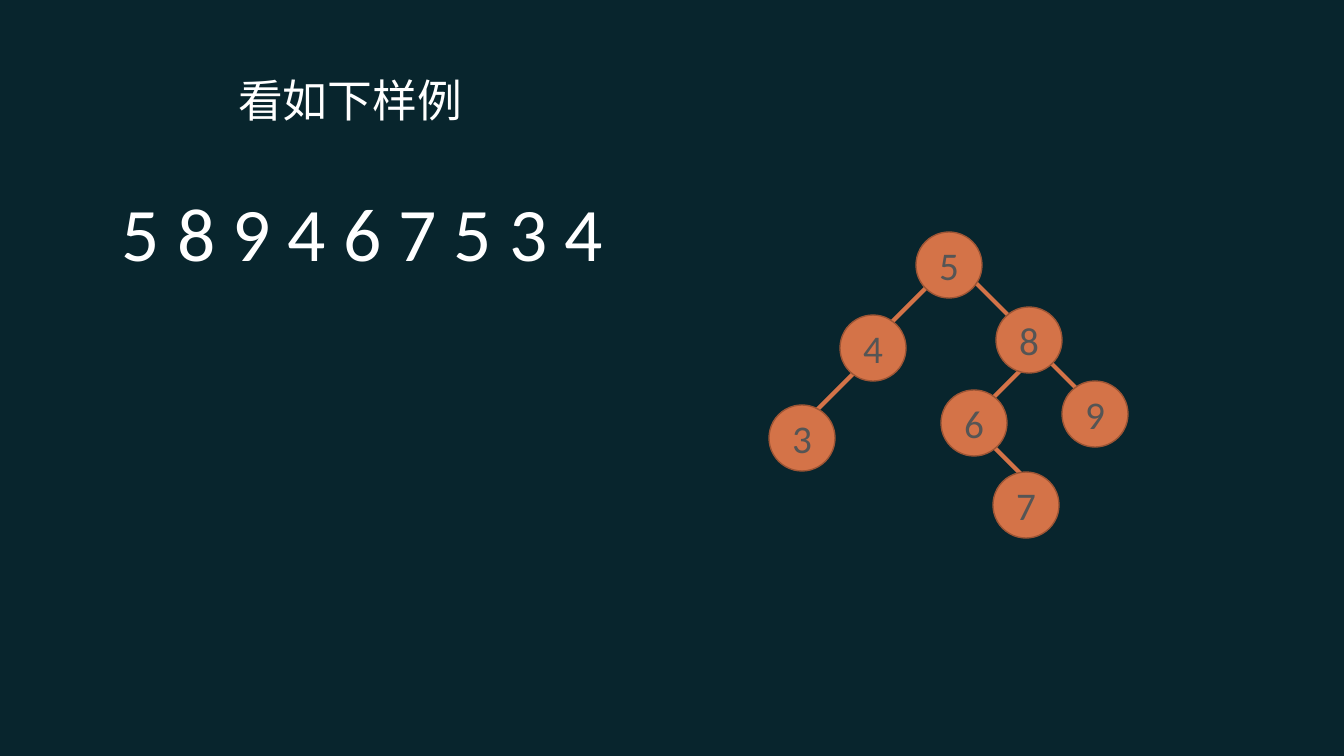
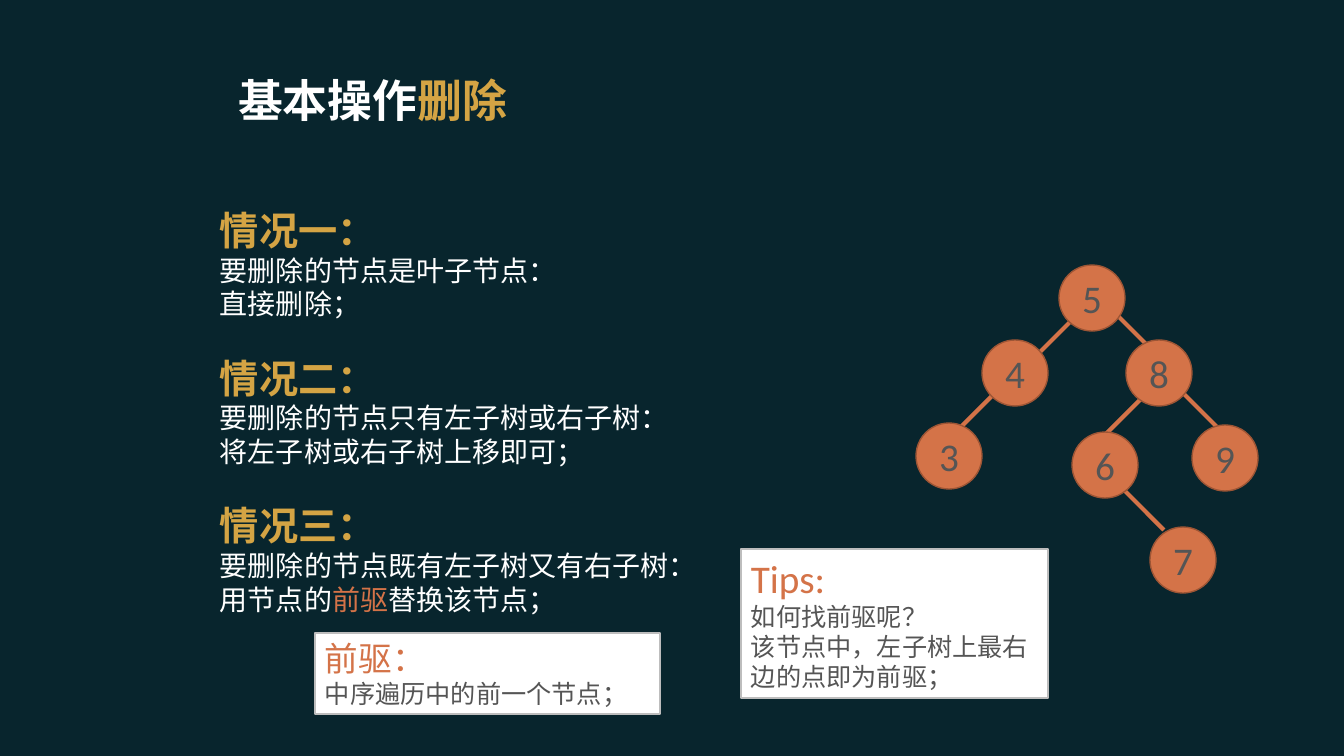
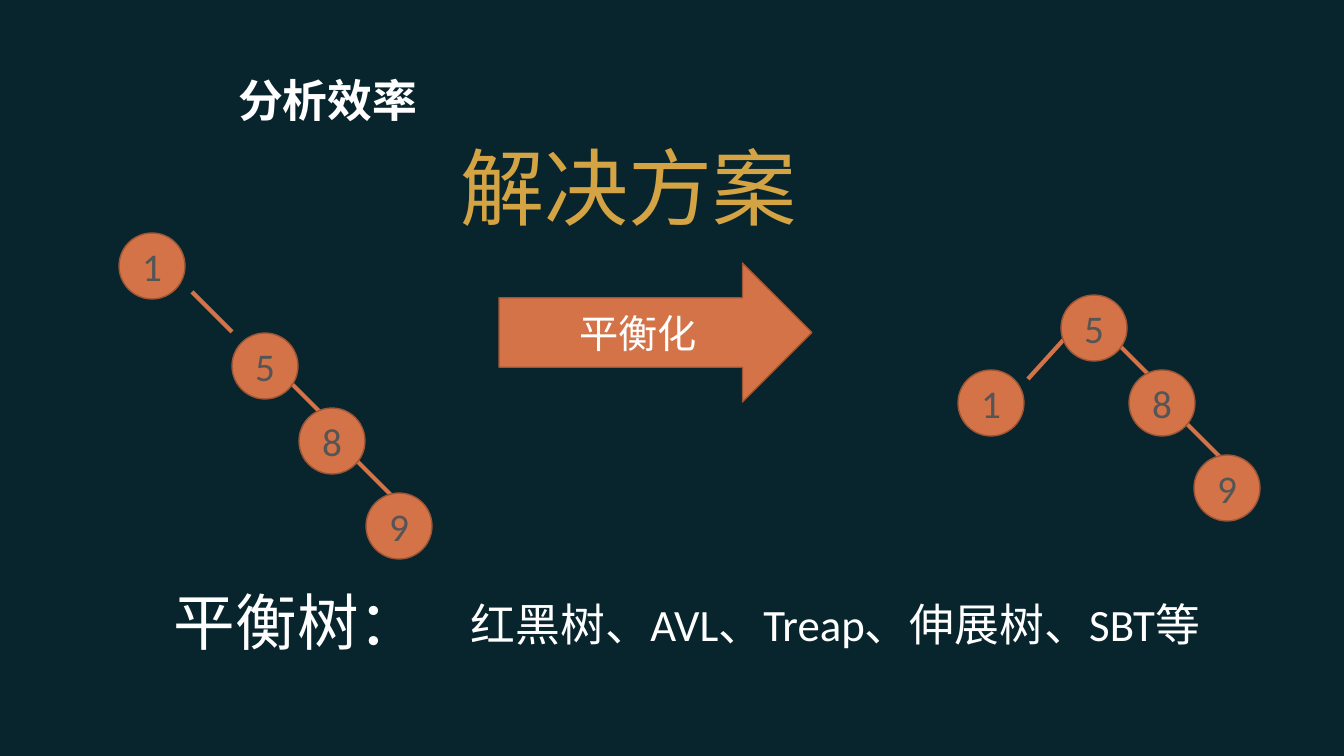
from dataclasses import dataclass

from lxml import etree
from pptx import Presentation
from pptx.dml.color import RGBColor
from pptx.enum.shapes import MSO_CONNECTOR, MSO_SHAPE
from pptx.enum.text import MSO_ANCHOR, PP_ALIGN
from pptx.oxml.ns import qn
from pptx.shapes.autoshape import Shape
from pptx.slide import Slide
from pptx.text.text import TextFrame
from pptx.util import Emu, Pt

EMU_PER_PIXEL = 914400 / 100.8
TITLE_ONLY = 5
STRAIGHT = MSO_CONNECTOR.STRAIGHT
OVAL, RECTANGLE, ARROW = MSO_SHAPE.OVAL, MSO_SHAPE.RECTANGLE, MSO_SHAPE.RIGHT_ARROW
TOP, MIDDLE = MSO_ANCHOR.TOP, MSO_ANCHOR.MIDDLE
LEFT, CENTER = PP_ALIGN.LEFT, PP_ALIGN.CENTER

COLORS = {
    "night": "08252D",
    "white": "FFFFFF",
    "gold": "D4A444",
    "orange": "D47348",
    "rust": "9D5535",
    "gray": "555555",
    "silver": "BDBDBD",
}
BODY_FONT = "Calibri"
TITLE_FONT = "Lato"
HEADING_FONT = "Noto Sans CJK SC"
NODE_SIZE = 66


@dataclass(frozen=True)
class Box:
    left: int
    top: int
    width: int
    height: int


@dataclass(frozen=True)
class Span:
    text: str
    color: str = ""


@dataclass(frozen=True)
class Line:
    spans: tuple[Span, ...]
    size: int
    color: str = "white"
    font: str = BODY_FONT
    bold: bool = False
    align: PP_ALIGN = LEFT
    space_before: int = 0


@dataclass(frozen=True)
class Node:
    label: str
    left: int
    top: int


@dataclass(frozen=True)
class Branch:
    x: int
    y: int
    lean: int = 40
    drop: int = 40


@dataclass(frozen=True)
class Tree:
    nodes: tuple[Node, ...]
    branches: tuple[Branch, ...]


@dataclass(frozen=True)
class Case:
    heading: str
    condition: str
    action: tuple[Span, ...]


TITLE_BOX = Box(228, 60, 801, 80)

SAMPLE_TREE = Tree(
    (
        Node("5", 916, 232), Node("8", 996, 307), Node("9", 1062, 381),
        Node("4", 840, 315), Node("6", 941, 390), Node("7", 993, 472),
        Node("3", 769, 405),
    ),
    (
        Branch(930, 284, -40), Branch(975, 282), Branch(1045, 357),
        Branch(1026, 365, -40), Branch(986, 439), Branch(855, 372, -40),
    ),
)
DELETION_TREE = Tree(
    (
        Node("5", 1059, 265), Node("4", 982, 340), Node("8", 1126, 340),
        Node("9", 1192, 425), Node("6", 1072, 432), Node("7", 1150, 527),
        Node("3", 916, 423),
    ),
    (
        Branch(1074, 318, -40), Branch(996, 392, -40), Branch(1146, 394, -40),
        Branch(1118, 316), Branch(1183, 393), Branch(1124, 490),
    ),
)
CHAIN_TREE = Tree(
    (
        Node("5", 232, 333), Node("8", 299, 408), Node("9", 366, 493),
        Node("1", 119, 233),
    ),
    (Branch(291, 383), Branch(357, 461), Branch(192, 292)),
)
BALANCED_TREE = Tree(
    (
        Node("5", 1061, 295), Node("8", 1129, 370), Node("9", 1194, 455),
        Node("1", 958, 370),
    ),
    (Branch(1120, 346), Branch(1186, 423), Branch(1067, 336, -39, 43)),
)
CASES = (
    Case("情况一：", "要删除的节点是叶子节点：", (Span("直接删除；"),)),
    Case("情况二：", "要删除的节点只有左子树或右子树：",
         (Span("将左子树或右子树上移即可；"),)),
    Case("情况三：", "要删除的节点既有左子树又有右子树：",
         (Span("用节点的"), Span("前驱", "orange"), Span("替换该节点；"))),
)


def px(pixels: float) -> Emu:
    return Emu(round(pixels * EMU_PER_PIXEL))


def rgb(color: str) -> RGBColor:
    return RGBColor.from_string(COLORS[color])


def bounds(box: Box) -> tuple[Emu, Emu, Emu, Emu]:
    return px(box.left), px(box.top), px(box.width), px(box.height)


def plain(text: str, size: int, color: str = "white", align: PP_ALIGN = LEFT) -> Line:
    return Line((Span(text),), size, color, align=align)


def write(frame: TextFrame, lines: list[Line], anchor: MSO_ANCHOR = TOP) -> None:
    frame.word_wrap = True
    frame.vertical_anchor = anchor
    for index, line in enumerate(lines):
        paragraph = frame.add_paragraph() if index else frame.paragraphs[0]
        paragraph.alignment = line.align
        paragraph.space_before = Pt(line.space_before)
        font = paragraph.font
        font.size = Pt(line.size)
        font.bold = line.bold
        font.name = line.font
        font.color.rgb = rgb(line.color)
        defaults = paragraph._p.pPr.find(qn("a:defRPr"))
        etree.SubElement(defaults, qn("a:ea"), typeface=BODY_FONT)
        for span in line.spans:
            run = paragraph.add_run()
            run.text = span.text
            if span.color:
                run.font.color.rgb = rgb(span.color)


def add_titled_slide(deck: Presentation, spans: tuple[Span, ...], bold: bool) -> Slide:
    slide = deck.slides.add_slide(deck.slide_layouts[TITLE_ONLY])
    title = slide.shapes.title
    title.left, title.top, title.width, title.height = bounds(TITLE_BOX)
    write(title.text_frame, [Line(spans, 32, font=TITLE_FONT, bold=bold)], MIDDLE)
    return slide


def add_text(slide: Slide, box: Box, lines: list[Line]) -> None:
    write(slide.shapes.add_textbox(*bounds(box)).text_frame, lines)


def add_panel(slide: Slide, kind: MSO_SHAPE, box: Box, fill: str, outline: str) -> Shape:
    panel = slide.shapes.add_shape(kind, *bounds(box))
    panel.shadow.inherit = False
    panel.fill.solid()
    panel.fill.fore_color.rgb = rgb(fill)
    panel.line.color.rgb = rgb(outline)
    panel.line.width = Pt(1)
    return panel


def add_note(slide: Slide, box: Box, lines: list[Line]) -> None:
    note = add_panel(slide, RECTANGLE, box, "white", "silver")
    write(note.text_frame, lines)


def add_tree(slide: Slide, tree: Tree) -> None:
    for branch in tree.branches:
        link = slide.shapes.add_connector(
            STRAIGHT, px(branch.x), px(branch.y),
            px(branch.x + branch.lean), px(branch.y + branch.drop),
        )
        link.line.color.rgb = rgb("orange")
        link.line.width = Pt(3)
        etree.SubElement(link._element.spPr, qn("a:effectLst"))
    for node in tree.nodes:
        box = Box(node.left, node.top, NODE_SIZE, NODE_SIZE)
        circle = add_panel(slide, OVAL, box, "orange", "rust")
        write(circle.text_frame, [plain(node.label, 28, "gray", CENTER)], MIDDLE)


def build_sample(deck: Presentation) -> None:
    slide = add_titled_slide(deck, (Span("看如下样例"),), False)
    add_text(slide, Box(112, 181, 554, 102), [plain("5 8 9 4 6 7 5 3 4", 54)])
    add_tree(slide, SAMPLE_TREE)


def build_deletion(deck: Presentation) -> None:
    slide = add_titled_slide(deck, (Span("基本操作"), Span("删除", "gold")), True)
    add_tree(slide, DELETION_TREE)
    lines: list[Line] = []
    for case in CASES:
        lines += [
            Line((Span(case.heading),), 28, "gold", HEADING_FONT, True,
                 space_before=24 if lines else 0),
            plain(case.condition, 20),
            Line(case.action, 20),
        ]
    add_text(slide, Box(210, 201, 555, 424), lines)
    add_note(slide, Box(315, 633, 345, 81), [
        plain("前驱：", 24, "orange"),
        plain("中序遍历中的前一个节点；", 18, "gray"),
    ])
    add_note(slide, Box(741, 549, 307, 149), [
        plain("Tips:", 28, "orange"),
        plain("如何找前驱呢？", 18, "gray"),
        plain("该节点中，左子树上最右边的点即为前驱；", 18, "gray"),
    ])


def build_balancing(deck: Presentation) -> None:
    slide = add_titled_slide(deck, (Span("分析效率"),), True)
    add_text(slide, Box(371, 131, 515, 112), [plain("解决方案", 60, "gold", CENTER)])
    add_tree(slide, CHAIN_TREE)
    arrow = add_panel(slide, ARROW, Box(499, 263, 313, 139), "orange", "rust")
    write(arrow.text_frame, [plain("平衡化", 28, align=CENTER)], MIDDLE)
    add_tree(slide, BALANCED_TREE)
    add_text(slide, Box(164, 579, 282, 85), [plain("平衡树：", 44)])
    add_text(slide, Box(461, 592, 756, 65),
             [plain("红黑树、AVL、Treap、伸展树、SBT等", 32)])


def main() -> None:
    deck = Presentation()
    deck.slide_width, deck.slide_height = px(1344), px(756)
    backdrop = deck.slide_master.background.fill
    backdrop.solid()
    backdrop.fore_color.rgb = rgb("night")
    build_sample(deck)
    build_deletion(deck)
    build_balancing(deck)
    deck.save("out.pptx")


main()
